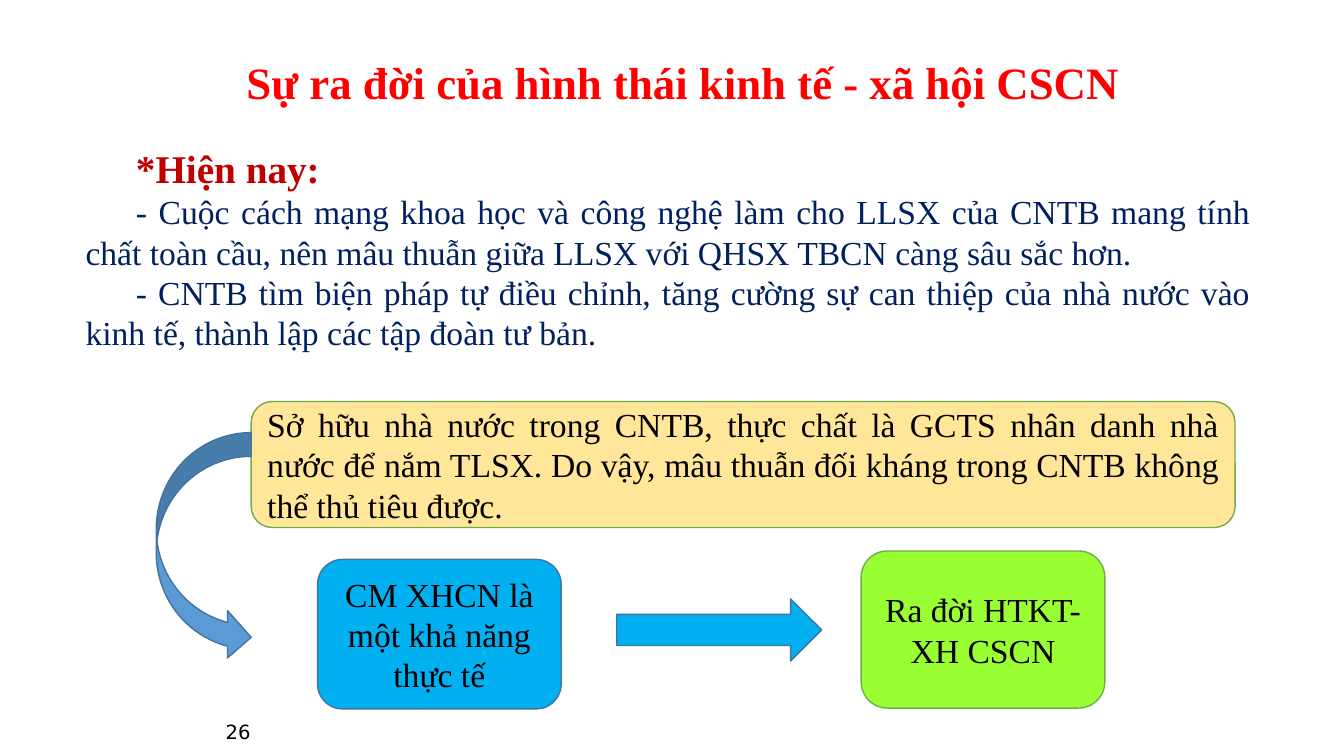
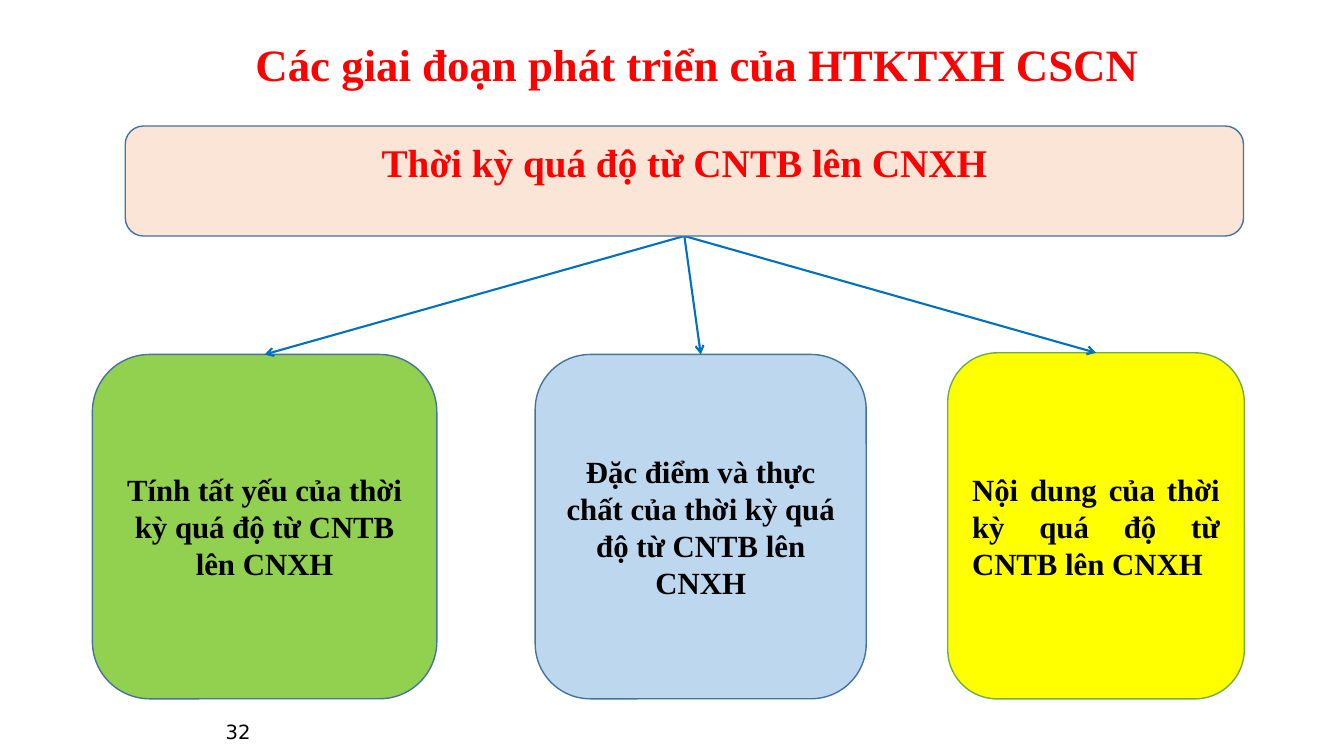
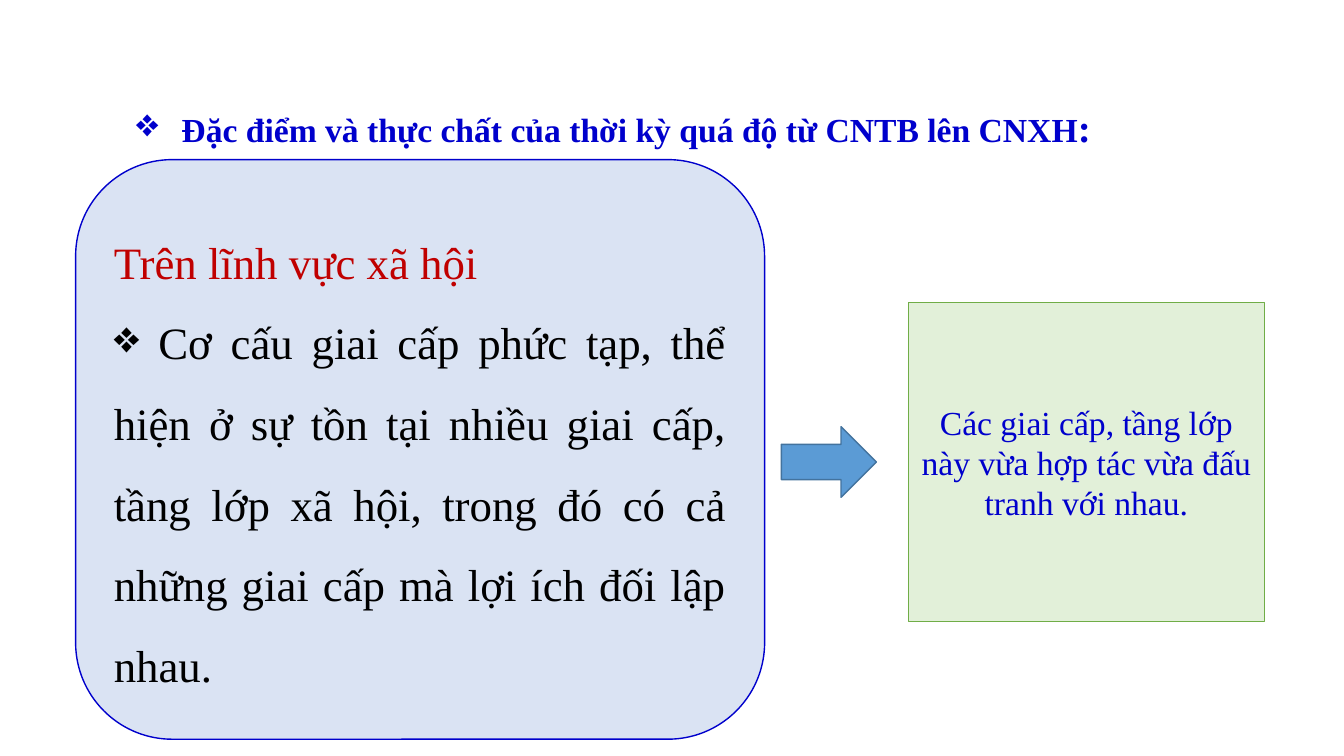
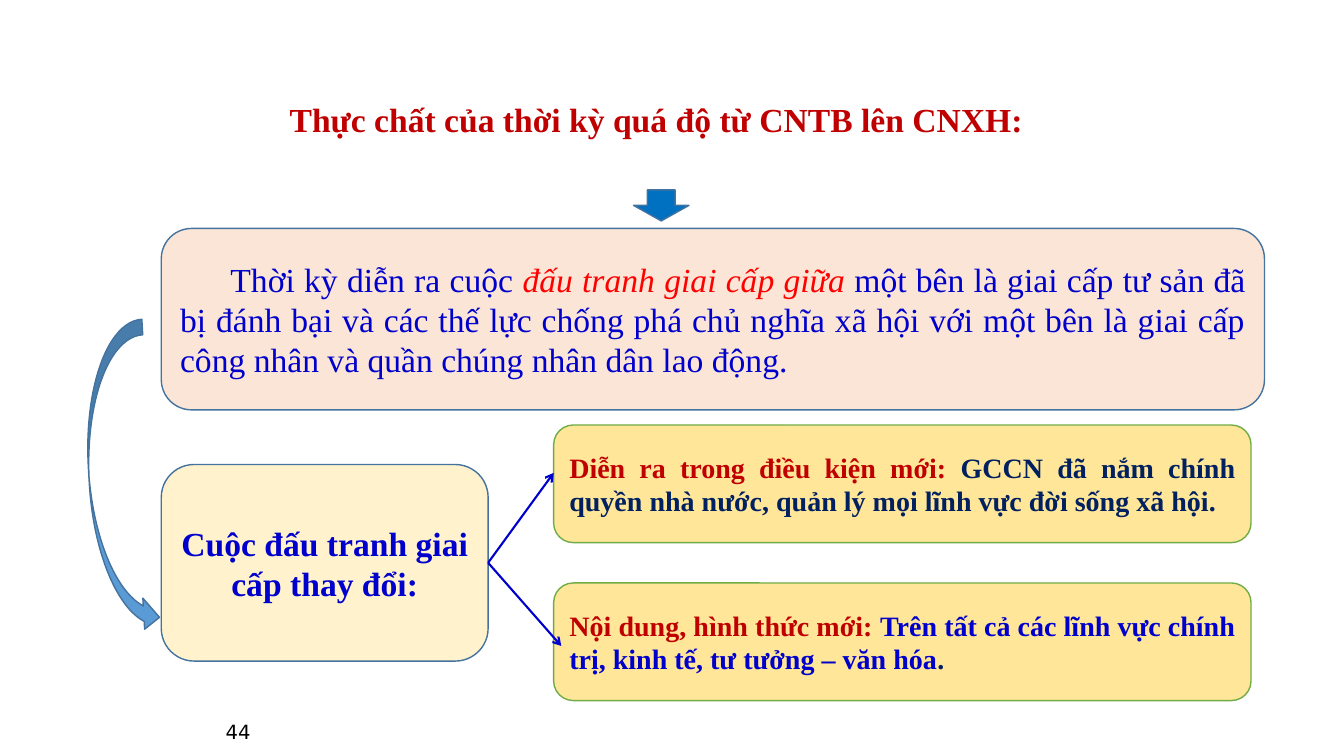
from dataclasses import dataclass
from typing import NamedTuple, Optional

from pptx import Presentation
from pptx.dml.color import RGBColor
from pptx.enum.shapes import MSO_CONNECTOR, MSO_SHAPE
from pptx.enum.text import MSO_ANCHOR, MSO_AUTO_SIZE, PP_ALIGN
from pptx.oxml.ns import qn
from pptx.util import Emu, Inches, Pt
from lxml import etree

# Enum members
ROUND, RECT = MSO_SHAPE.ROUNDED_RECTANGLE, MSO_SHAPE.RECTANGLE
RIGHT_ARROW, DOWN_ARROW = MSO_SHAPE.RIGHT_ARROW, MSO_SHAPE.DOWN_ARROW
CURVED_ARROW = MSO_SHAPE.CURVED_RIGHT_ARROW
LEFT, CENTER, RIGHT, JUSTIFY = PP_ALIGN.LEFT, PP_ALIGN.CENTER, PP_ALIGN.RIGHT, PP_ALIGN.JUSTIFY

# Slide grid: 160 columns by 90 rows of square cells
SLIDE_WIDTH, SLIDE_HEIGHT = Inches(13.33), Inches(7.5)
CELL = SLIDE_HEIGHT / 90
TITLE_ONLY = 5

# Shared style
SERIF, SANS = "Times New Roman", "DejaVu Sans"
BLACK, WHITE, RED, DARK_RED = "000000", "FFFFFF", "FF0000", "C00000"
NAVY, INK_BLUE, STEEL, LEAF = "002060", "0000CC", "43739E", "70AD47"
AMBER, PEACH, SKY, ARROW_BLUE = "FFE699", "FBE5D6", "00B0F0", "5B9BD5"
LINK_BLUE = "0070C0"
BULLET = "❖"
FIRST_INDENT = 6


class Area(NamedTuple):
    """Place on the grid, in columns and rows."""
    column: float
    row: float
    columns: float
    rows: float

    def top(self) -> tuple[float, float]:
        return self.column + self.columns / 2, self.row

    def bottom(self) -> tuple[float, float]:
        return self.column + self.columns / 2, self.row + self.rows

    def right(self) -> tuple[float, float]:
        return self.column + self.columns, self.row + self.rows / 2


@dataclass(frozen=True)
class Span:
    """Words, with what differs from their paragraph."""
    text: str
    color: Optional[str] = None
    size: Optional[float] = None
    italic: Optional[bool] = None


@dataclass(frozen=True)
class Para:
    spans: tuple[Span, ...]
    size: float = 24
    color: str = BLACK
    bold: bool = False
    align: PP_ALIGN = CENTER
    indent: float = 0
    hanging: float = 0
    spacing: Optional[float] = None
    bullet_percent: int = 0
    font: str = SERIF


@dataclass(frozen=True)
class Block:
    """A filled preset shape, with or without text."""
    area: Area
    fill: str
    line: str = STEEL
    paras: tuple[Para, ...] = ()
    kind: MSO_SHAPE = ROUND
    rotation: float = 0
    bottom_inset: float = 0.6


PAGE_NUMBER_AREA = Area(21, 84.6, 10, 4.9)


def cells(count: float) -> Emu:
    return Emu(round(count * CELL))


def rgb(color: str) -> RGBColor:
    return RGBColor.from_string(color)


def plain(text: str, **style) -> Para:
    return Para((Span(text),), **style)


# Text
def write_para(paragraph, para: Para) -> None:
    paragraph.alignment = para.align
    if para.spacing:
        paragraph.line_spacing = para.spacing
    properties = paragraph._p.get_or_add_pPr()
    properties.set("marL", str(cells(para.hanging)))
    properties.set("indent", str(cells(para.indent - para.hanging)))
    if para.bullet_percent:
        size = etree.SubElement(properties, qn("a:buSzPct"))
        size.set("val", str(para.bullet_percent * 1000))
        etree.SubElement(properties, qn("a:buChar")).set("char", BULLET)
    font = paragraph.font
    font.name, font.size, font.bold = para.font, Pt(para.size), para.bold
    font.color.rgb = rgb(para.color)
    for span in para.spans:
        run = paragraph.add_run()
        run.text = span.text
        if span.color:
            run.font.color.rgb = rgb(span.color)
        if span.size:
            run.font.size = Pt(span.size)
        if span.italic:
            run.font.italic = True


def write_text(box, paras: tuple[Para, ...], bottom_inset: float = 0.6) -> None:
    frame = box.text_frame
    frame.word_wrap = True
    frame.auto_size = MSO_AUTO_SIZE.NONE
    frame.vertical_anchor = MSO_ANCHOR.MIDDLE
    frame.margin_bottom = cells(bottom_inset)
    for index, para in enumerate(paras):
        write_para(frame.add_paragraph() if index else frame.paragraphs[0], para)


def add_text(page, area: Area, *paras: Para) -> None:
    write_text(page.shapes.add_textbox(*map(cells, area)), paras)


# Shapes
def add_block(page, block: Block) -> None:
    shape = page.shapes.add_shape(block.kind, *map(cells, block.area))
    shape.shadow.inherit = False
    shape.rotation = block.rotation
    shape.fill.solid()
    shape.fill.fore_color.rgb = rgb(block.fill)
    shape.line.color.rgb = rgb(block.line)
    shape.line.width = Pt(1)
    if block.paras:
        write_text(shape, block.paras, block.bottom_inset)


def add_arrow(page, start: tuple[float, float], end: tuple[float, float], color: str) -> None:
    arrow = page.shapes.add_connector(MSO_CONNECTOR.STRAIGHT, *map(cells, start + end))
    arrow.line.color.rgb = rgb(color)
    arrow.line.width = Pt(1.5)
    etree.SubElement(arrow.line._get_or_add_ln(), qn("a:tailEnd")).set("type", "arrow")
    etree.SubElement(arrow._element.spPr, qn("a:effectLst"))


# Page with its title and number
def add_page(deck, area: Area, title: Para, number: str = ""):
    page = deck.slides.add_slide(deck.slide_layouts[TITLE_ONLY])
    box = page.shapes.title
    box.left, box.top, box.width, box.height = map(cells, area)
    write_text(box, (title,))
    if number:
        add_text(page, PAGE_NUMBER_AREA, plain(number, size=14, align=RIGHT, font=SANS))
    return page


def red_title(text: str) -> Para:
    return plain(text, size=32, color=RED, bold=True)


def build_birth(deck) -> None:
    page = add_page(deck, Area(22.9, 5.9, 116.8, 7.7),
                    red_title("Sự ra đời của hình thái kinh tế - xã hội CSCN"), "26")
    body = dict(color=NAVY, align=JUSTIFY, indent=FIRST_INDENT)
    add_text(
        page, Area(9, 16.4, 141, 26.3),
        plain("*Hiện nay:", size=28, color=DARK_RED, bold=True, align=JUSTIFY,
              indent=FIRST_INDENT),
        plain("- Cuộc cách mạng khoa học và công nghệ làm cho LLSX của CNTB mang tính chất "
              "toàn cầu, nên mâu thuẫn giữa LLSX với QHSX TBCN càng sâu sắc hơn.", **body),
        plain("- CNTB tìm biện pháp tự điều chỉnh, tăng cường sự can thiệp của nhà nước vào "
              "kinh tế, thành lập các tập đoàn tư bản.", **body))
    ownership = plain("Sở hữu nhà nước trong CNTB, thực chất là GCTS nhân danh nhà nước để nắm "
                      "TLSX. Do vậy, mâu thuẫn đối kháng trong CNTB không thể thủ tiêu được.",
                      align=JUSTIFY)
    for block in (
        Block(Area(29.9, 47.8, 117.1, 15), AMBER, LEAF, (ownership,)),
        Block(Area(102.5, 65.6, 29, 18.7), "99FF33", LEAF, (plain("Ra đời HTKT-XH CSCN"),)),
        Block(Area(37.8, 66.6, 29, 17.8), SKY,
              paras=(plain("CM XHCN là một khả năng thực tế"),)),
        Block(Area(73.4, 71.3, 24.4, 7.4), SKY, kind=RIGHT_ARROW),
        Block(Area(18.6, 51.5, 11.3, 27.2), ARROW_BLUE, kind=CURVED_ARROW),
    ):
        add_block(page, block)


def build_stages(deck) -> None:
    page = add_page(deck, Area(11, 3.7, 144, 7.7),
                    red_title("Các giai đoạn phát triển của HTKTXH CSCN"), "32")
    card = dict(size=22, bold=True)
    header = Block(Area(14.9, 15, 133.1, 13.1), PEACH, bottom_inset=5.2, paras=(
        plain("Thời kỳ quá độ từ CNTB lên CNXH", size=28, color=RED, bold=True),))
    cards = (
        Block(Area(11, 42.2, 41, 41), "92D050", paras=(
            plain("Tính tất yếu của thời kỳ quá độ từ CNTB lên CNXH", **card),)),
        Block(Area(63.7, 42.2, 39.4, 41), "BDD7EE", paras=(
            plain("Đặc điểm và thực chất của thời kỳ quá độ từ CNTB lên CNXH", **card),)),
        Block(Area(112.8, 42, 35.3, 41.2), "FFFF00", LEAF, (
            plain("Nội dung của thời kỳ quá độ từ CNTB lên CNXH", align=JUSTIFY, **card),)),
    )
    for block in cards:
        add_block(page, block)
        add_arrow(page, header.area.bottom(), block.area.top(), LINK_BLUE)
    add_block(page, header)


def build_features(deck) -> None:
    title = Para((Span("Đặc điểm và thực chất của thời kỳ quá độ từ CNTB lên CNXH"),
                  Span(":", size=28)),
                 color=INK_BLUE, bold=True, align=LEFT, hanging=5.4, spacing=1.25,
                 bullet_percent=117)
    page = add_page(deck, Area(15, 10.6, 130, 7.6), title)
    body = dict(size=32, align=JUSTIFY, spacing=1.5)
    society = (
        plain("Trên lĩnh vực xã hội", color=DARK_RED, **body),
        plain(" Cơ cấu giai cấp phức tạp, thể hiện ở sự tồn tại nhiều giai cấp, tầng lớp xã "
              "hội, trong đó có cả những giai cấp mà lợi ích đối lập nhau.",
              bullet_percent=100, **body),
    )
    relation = plain("Các giai cấp, tầng lớp này vừa hợp tác vừa đấu tranh với nhau.",
                     color=INK_BLUE)
    for block in (
        Block(Area(9, 19, 82, 69), "DAE3F3", INK_BLUE, society),
        Block(Area(93, 50.8, 11.3, 8.4), ARROW_BLUE, kind=RIGHT_ARROW),
        Block(Area(108.1, 36, 42.4, 38), "E2F0D9", LEAF, (relation,), RECT),
    ):
        add_block(page, block)


def build_essence(deck) -> None:
    page = add_page(deck, Area(28.9, 10.2, 98.4, 6.7),
                    plain("Thực chất của thời kỳ quá độ từ CNTB lên CNXH:",
                          color=DARK_RED, bold=True, spacing=1.25), "44")
    struggle = Para((
        Span("Thời kỳ diễn ra cuộc "),
        Span("đấu tranh giai cấp giữa ", RED, italic=True),
        Span("một bên là giai cấp tư sản đã bị đánh bại và các thế lực chống phá chủ nghĩa xã "
             "hội với một bên là giai cấp công nhân và quần chúng nhân dân lao động."),
    ), color=INK_BLUE, align=JUSTIFY, indent=FIRST_INDENT)
    change = Block(Area(19.2, 55.3, 38.9, 23.4), "FFF2CC", paras=(
        plain("Cuộc đấu tranh giai cấp thay đổi:", color=INK_BLUE, bold=True),))
    for block in (
        Block(Area(19.2, 27.2, 131.3, 21.6), PEACH, paras=(struggle,)),
        Block(Area(75.4, 22.6, 6.6, 3.7), LINK_BLUE, kind=DOWN_ARROW),
        change,
        Block(Area(10.6, 38.2, 7.4, 37.4), ARROW_BLUE, kind=CURVED_ARROW, rotation=356.6),
    ):
        add_block(page, block)

    # Two ways the struggle changes, each with its arrow
    conditions = (
        Span("Diễn ra trong điều kiện mới: "),
        Span("GCCN đã nắm chính quyền nhà nước, quản lý mọi lĩnh vực đời sống xã hội.", NAVY))
    forms = (
        Span("Nội dung, hình thức mới: "),
        Span("Trên tất cả các lĩnh vực chính trị, kinh tế, tư tưởng – văn hóa", INK_BLUE),
        Span(".", NAVY))
    for row, spans, tip in ((50.6, conditions, (65.9, 56.3)), (69.4, forms, (66.8, 76.9))):
        para = Para(spans, size=20, color=DARK_RED, bold=True, align=JUSTIFY)
        add_block(page, Block(Area(65.9, row, 83, 14), AMBER, LEAF, (para,)))
        add_arrow(page, change.area.right(), tip, INK_BLUE)


def main() -> None:
    deck = Presentation()
    deck.slide_width, deck.slide_height = SLIDE_WIDTH, SLIDE_HEIGHT
    background = deck.slide_master.background.fill
    background.solid()
    background.fore_color.rgb = rgb(WHITE)
    for build in (build_birth, build_stages, build_features, build_essence):
        build(deck)
    deck.save("out.pptx")


if __name__ == "__main__":
    main()
